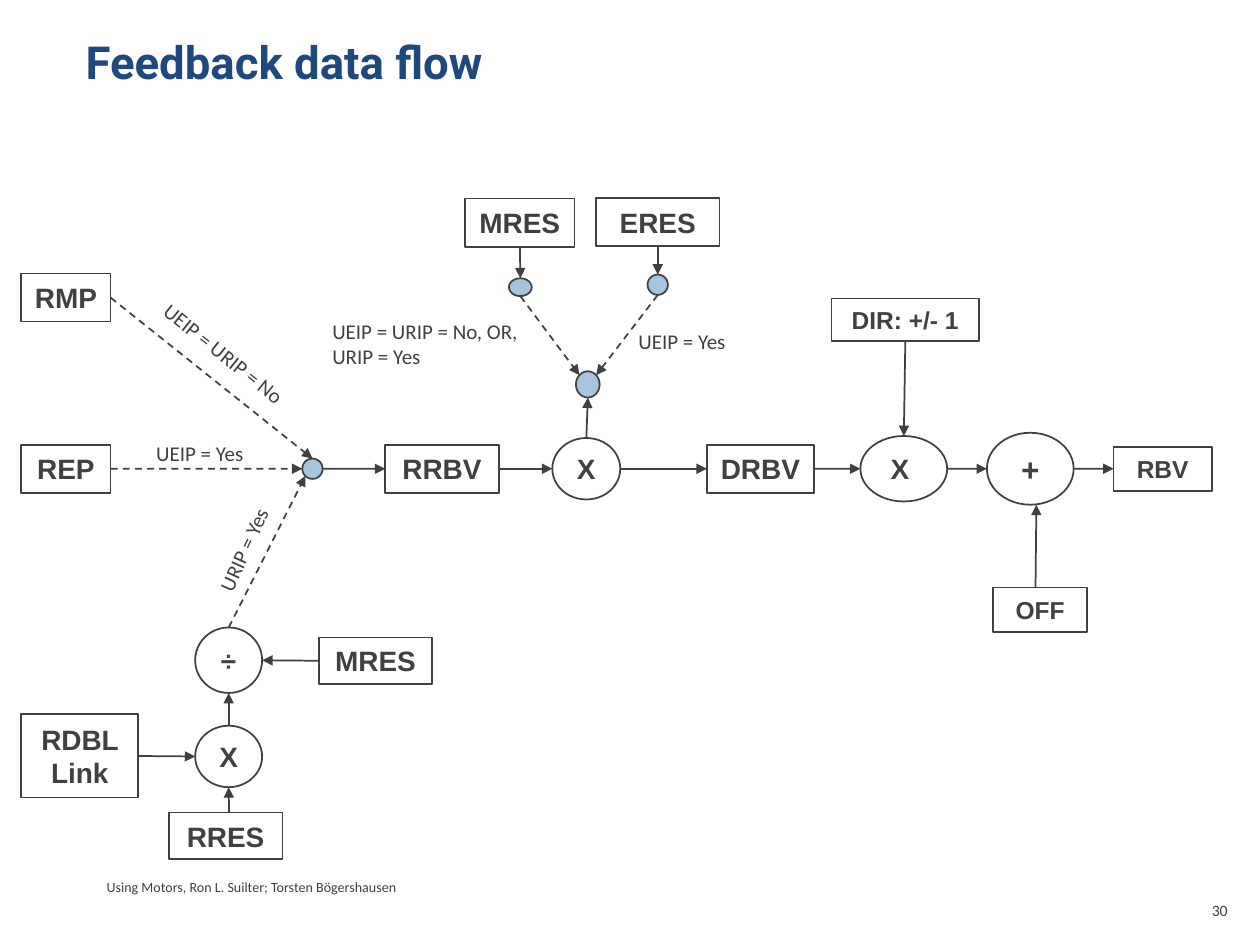
"""Build the feedback data flow diagram slide."""
from lxml import etree
from pptx import Presentation
from pptx import util as u
from pptx.dml.color import RGBColor
from pptx.enum import dml, shapes, text
from pptx.oxml.ns import qn

THEME = dict(title="1F497D", ink="404040", dot="A6C4DE", line=1,
             title_font="Roboto", node_font="Arial", label_font="Calibri",
             title_size=26, label_size=12, footer_size=8, number_size=9)

TITLE = ("Feedback data flow", (1.47, 0.56, 22.86, 3.18))
MAIN, SHAFT = 9.45, 4.61

# name: (text, centre x, centre y, width, height, type size)
BOXES = {
    "RMP": ("RMP", 1.33, 6.0, 1.8, 0.97, 16),
    "REP": ("REP", 1.33, MAIN, 1.8, 0.97, 16),
    "RRBV": ("RRBV", 8.91, MAIN, 2.29, 0.97, 16),
    "DRBV": ("DRBV", 15.33, MAIN, 2.16, 0.97, 16),
    "RBV": ("RBV", 23.44, MAIN, 1.98, 0.89, 14),
    "motor res": ("MRES", 10.48, 4.49, 2.21, 0.97, 16),
    "ERES": ("ERES", 13.26, 4.48, 2.49, 0.97, 16),
    "DIR": ("DIR: +/- 1", 18.25, 6.45, 2.97, 0.86, 14),
    "OFF": ("OFF", 20.97, 12.29, 1.9, 0.89, 14),
    "divisor": ("MRES", 7.57, 13.32, 2.29, 0.94, 16),
    "RDBL": ("RDBL Link", 1.61, 15.24, 2.36, 1.68, 16),
    "RRES": ("RRES", 4.55, 16.85, 2.29, 0.94, 16),
}
OPERATORS = {
    "scale": ("X", 11.82, MAIN, 1.37, 1.24, 16),
    "sign": ("X ", 18.22, MAIN, 1.75, 1.32, 16),
    "add": ("+", 20.77, MAIN, 1.75, 1.45, 18),
    "divide": ("÷", SHAFT, 13.31, 1.35, 1.32, 16),
    "multiply": ("X", SHAFT, 15.25, 1.35, 1.24, 16),
}
DOTS = {
    "source": ("", 6.3, MAIN, 0.41, 0.41, 16),
    "resolution": ("", 11.85, 7.75, 0.48, 0.53, 16),
    "motor": ("", 10.49, 5.79, 0.46, 0.36, 16),
    "encoder": ("", 13.26, 5.74, 0.41, 0.41, 16),
}

TOP, LEFT, BOTTOM, RIGHT = (0.5, 0), (0, 0.5), (0.5, 1), (1, 0.5)
UPPER_LEFT, UPPER_RIGHT, LOWER_LEFT = (0.15, 0.15), (0.85, 0.15), (0.15, 0.85)
SITES = [TOP, LEFT, BOTTOM, RIGHT]

SOLID_ARROWS = [
    ("source", RIGHT, "RRBV", LEFT), ("RRBV", RIGHT, "scale", LEFT),
    ("scale", RIGHT, "DRBV", LEFT), ("DRBV", RIGHT, "sign", LEFT),
    ("sign", RIGHT, "add", LEFT), ("add", RIGHT, "RBV", LEFT),
    ("DIR", BOTTOM, "sign", TOP), ("OFF", (0.45, 0), "add", (0.57, 1)),
    ("motor res", BOTTOM, "motor", TOP), ("ERES", BOTTOM, "encoder", TOP),
    ("scale", TOP, "resolution", BOTTOM), ("divisor", LEFT, "divide", RIGHT),
    ("RDBL", RIGHT, "multiply", LEFT), ("multiply", TOP, "divide", BOTTOM),
    ("RRES", (0.53, 0), "multiply", BOTTOM),
]
DASHED_ARROWS = [
    ("RMP", RIGHT, "source", TOP), ("REP", RIGHT, "source", LEFT),
    ("divide", TOP, "source", LOWER_LEFT),
    ("motor", BOTTOM, "resolution", UPPER_LEFT),
    ("encoder", BOTTOM, "resolution", UPPER_RIGHT),
]

# lines, (left, top, width, height), rotation
CONDITIONS = [
    (["UEIP = Yes"], (2.9, 8.76, 2.39, 0.76), 0),
    (["UEIP = URIP = No"], (2.79, 6.76, 3.48, 0.76), 38.8),
    (["URIP = Yes"], (3.73, 10.64, 2.41, 0.76), 294.5),
    (["UEIP = Yes"], (12.62, 6.5, 2.39, 0.76), 0),
    (["UEIP = URIP = No, OR,", "URIP = Yes"], (6.45, 6.3, 4.32, 1.27), 0),
]
FOOTER = (["Using Motors, Ron L. Suilter; Torsten Bögershausen"], (1.9, 17.58, 19.05, 0.61))
NUMBER = (["30"], (23.93, 18.03, 1.07, 1.02))


def rgb(key):
    return RGBColor.from_string(THEME[key])


def style(p, font, size, color="ink", bold=False, align=text.PP_ALIGN.LEFT):
    p.alignment = align
    p.font.name, p.font.size, p.font.bold = THEME[font], u.Pt(size), bold
    p.font.color.rgb = rgb(color)


def outline(line):
    line.color.rgb, line.width = rgb("ink"), u.Pt(THEME["line"])


def add_node(s, kind, node, fill=None):
    label, cx, cy, w, h, size = node
    sp = s.shapes.add_shape(kind, u.Cm(cx - w / 2), u.Cm(cy - h / 2), u.Cm(w), u.Cm(h))
    sp.shadow.inherit = False
    outline(sp.line)
    if fill:
        sp.fill.solid()
        sp.fill.fore_color.rgb = rgb(fill)
    else:
        sp.fill.background()
    if label:
        tf = sp.text_frame
        tf.margin_left = tf.margin_right = tf.margin_top = tf.margin_bottom = 0
        tf.word_wrap, tf.vertical_anchor = True, text.MSO_ANCHOR.MIDDLE
        tf.text = label
        style(tf.paragraphs[0], "node_font", size, bold=True, align=text.PP_ALIGN.CENTER)
    return sp


def add_label(s, lines, box, size, rotation=0, wrap=False, align=text.PP_ALIGN.LEFT):
    sp = s.shapes.add_textbox(*map(u.Cm, box))
    sp.rotation = rotation
    tf = sp.text_frame
    tf.word_wrap = wrap
    tf.text = "\n".join(lines)
    for p in tf.paragraphs:
        style(p, "label_font", size, align=align)


def point(sp, side):
    return int(sp.left + side[0] * sp.width), int(sp.top + side[1] * sp.height)


def add_arrow(s, start, start_side, end, end_side, dashed):
    cx = s.shapes.add_connector(shapes.MSO_CONNECTOR.STRAIGHT,
                                *point(start, start_side), *point(end, end_side))
    for sp, side, join in ((start, start_side, cx.begin_connect), (end, end_side, cx.end_connect)):
        if sp.auto_shape_type == shapes.MSO_SHAPE.RECTANGLE and side in SITES:
            join(sp, SITES.index(side))
    outline(cx.line)
    if dashed:
        cx.line.dash_style = dml.MSO_LINE.DASH
    etree.SubElement(cx.line._get_or_add_ln(), qn("a:tailEnd"), type="triangle")
    etree.SubElement(cx._element.spPr, qn("a:effectLst"))


def main():
    prs = Presentation()
    prs.slide_width, prs.slide_height = u.Cm(25.4), u.Cm(19.05)
    s = prs.slides.add_slide(prs.slide_layouts[5])

    title = s.shapes.title
    title.left, title.top, title.width, title.height = map(u.Cm, TITLE[1])
    tf = title.text_frame
    tf.text, tf.vertical_anchor = TITLE[0], text.MSO_ANCHOR.TOP
    style(tf.paragraphs[0], "title_font", THEME["title_size"], "title", True)

    nodes = {}
    for group, kind, fill in ((BOXES, shapes.MSO_SHAPE.RECTANGLE, None),
                              (OPERATORS, shapes.MSO_SHAPE.OVAL, None),
                              (DOTS, shapes.MSO_SHAPE.OVAL, "dot")):
        for name, node in group.items():
            nodes[name] = add_node(s, kind, node, fill)

    for arrows, dashed in ((SOLID_ARROWS, False), (DASHED_ARROWS, True)):
        for start, start_side, end, end_side in arrows:
            add_arrow(s, nodes[start], start_side, nodes[end], end_side, dashed)

    for lines, box, rotation in CONDITIONS:
        add_label(s, lines, box, THEME["label_size"], rotation)
    add_label(s, *FOOTER, THEME["footer_size"], wrap=True)
    add_label(s, *NUMBER, THEME["number_size"], wrap=True, align=text.PP_ALIGN.RIGHT)
    prs.save("out.pptx")


if __name__ == "__main__":
    main()
